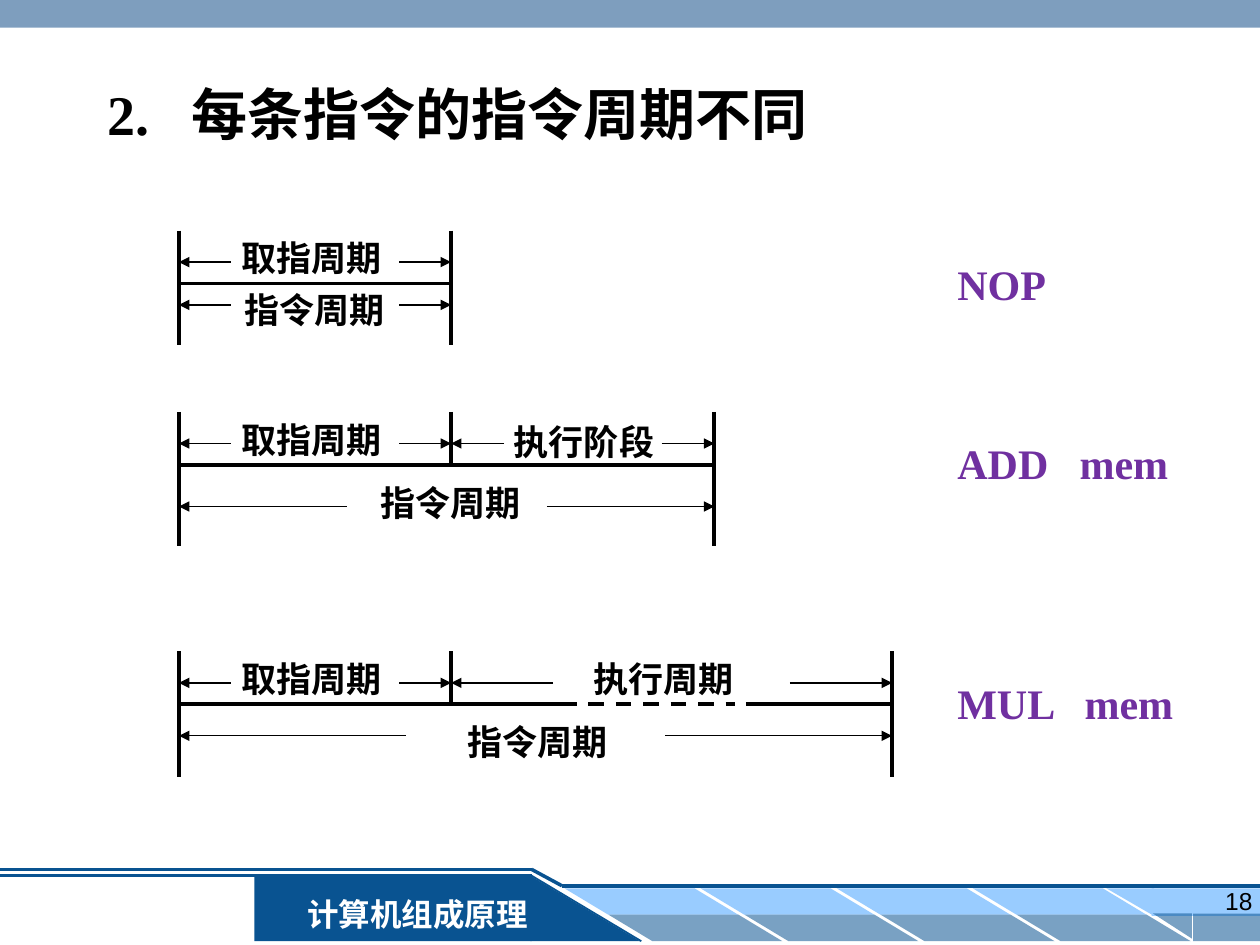
"""Build a slide comparing the instruction cycles of NOP, ADD and MUL."""
from dataclasses import dataclass

from lxml import etree
from pptx import Presentation
from pptx.dml.color import RGBColor
from pptx.enum.dml import MSO_LINE
from pptx.enum.shapes import MSO_CONNECTOR, MSO_SHAPE
from pptx.enum.text import MSO_ANCHOR, MSO_AUTO_SIZE, PP_ALIGN
from pptx.oxml.ns import qn
from pptx.util import Inches, Pt

RECTANGLE = MSO_SHAPE.RECTANGLE
PARALLELOGRAM = MSO_SHAPE.PARALLELOGRAM
TRIANGLE = MSO_SHAPE.RIGHT_TRIANGLE
STRAIGHT = MSO_CONNECTOR.STRAIGHT
DASH = MSO_LINE.DASH
TOP, MIDDLE = MSO_ANCHOR.TOP, MSO_ANCHOR.MIDDLE
LEFT, CENTER, RIGHT = PP_ALIGN.LEFT, PP_ALIGN.CENTER, PP_ALIGN.RIGHT
NO_AUTOFIT = MSO_AUTO_SIZE.NONE

BLACK, WHITE, PURPLE = "000000", "FFFFFF", "7030A0"
NAVY, SKY, STEEL = "095391", "99CCFF", "336699"
SERIF, SANS = "Times New Roman", "Arial"
START, FETCH_END = 1.42, 3.58


@dataclass(frozen=True)
class Span:
    """A labelled stretch of time with an arrow of length reach at each end."""

    label: str
    start: float
    end: float
    y: float
    reach: float
    label_left: float
    label_top: float


@dataclass(frozen=True)
class Segment:
    """A piece of a time axis."""

    start: float
    end: float
    dashed: bool = False


@dataclass(frozen=True)
class Timeline:
    """The cycle of one instruction with its phases above the axis."""

    words: tuple[str, ...]
    tab: float
    name_top: float
    top: float
    bottom: float
    axis: tuple[Segment, ...]
    phases: tuple[Span, ...]
    cycle: Span


def fetch(top: float) -> Span:
    """Return the fetch phase shared by all instructions."""
    return Span("取指周期", START, FETCH_END, top + 0.25, 0.41, 1.82, top)


TIMELINES = (
    Timeline(("NOP",), 1, 2, 1.83, 2.74, (Segment(START, FETCH_END),), (fetch(1.83),),
             Span("指令周期", START, FETCH_END, 2.42, 0.41, 1.84, 2.24)),
    Timeline(("ADD", "mem"), 0.97, 3.42, 3.27, 4.33, (Segment(START, 5.67),),
             (fetch(3.27), Span("执行阶段", FETCH_END, 5.67, 3.52, 0.42, 3.98, 3.29)),
             Span("指令周期", START, 5.67, 4.02, 1.33, 2.92, 3.77)),
    Timeline(("MUL", "mem"), 1.01, 5.33, 5.17, 6.17,
             (Segment(START, 4.58), Segment(4.67, 5.83, True), Segment(5.92, 7.08)),
             (fetch(5.17), Span("执行周期", FETCH_END, 7.08, 5.42, 0.81, 4.61, 5.17)),
             Span("指令周期", START, 7.08, 5.84, 1.8, 3.61, 5.67)),
)


def paint(color_format, color: str) -> None:
    """Apply a hex colour to a colour format."""
    color_format.rgb = RGBColor.from_string(color)


def draw_line(slide, x1: float, y1: float, x2: float, y2: float, width: float,
              color: str = BLACK, arrow: bool = False, dashed: bool = False) -> None:
    """Draw a straight line, optionally dashed or with an arrowhead at its end."""
    connector = slide.shapes.add_connector(
        STRAIGHT, Inches(x1), Inches(y1), Inches(x2), Inches(y2))
    connector.line.width = Pt(width)
    paint(connector.line.color, color)
    if dashed:
        connector.line.dash_style = DASH
    if arrow:
        etree.SubElement(connector.line._get_or_add_ln(), qn("a:tailEnd"), type="triangle")
    etree.SubElement(connector.element.spPr, qn("a:effectLst"))


def draw_block(slide, kind, left: float, top: float, width: float, height: float,
               color: str, opacity: int = 100, flip: str = "", slant: float = 0):
    """Draw a borderless filled shape and return it."""
    block = slide.shapes.add_shape(
        kind, Inches(left), Inches(top), Inches(width), Inches(height))
    block.shadow.inherit = False
    block.line.fill.background()
    block.fill.solid()
    paint(block.fill.fore_color, color)
    if opacity < 100:
        hue = block.element.spPr.find(f"{qn('a:solidFill')}/{qn('a:srgbClr')}")
        etree.SubElement(hue, qn("a:alpha"), val=str(opacity * 1000))
    for axis in flip:
        block.element.spPr.xfrm.set(f"flip{axis}", "1")
    if slant:
        block.adjustments[0] = slant
    return block


def write(shape, words: tuple[str, ...], size: float, color: str, font: str = SERIF,
          bold: bool = True, align=LEFT, anchor=TOP, wrap: bool = True,
          tab: float = 0) -> None:
    """Write one paragraph, its words set apart by a tab stop."""
    frame = shape.text_frame
    frame.word_wrap = wrap
    frame.auto_size = NO_AUTOFIT
    frame.vertical_anchor = anchor
    paragraph = frame.paragraphs[0]
    if tab:
        stops = etree.SubElement(paragraph._p.get_or_add_pPr(), qn("a:tabLst"))
        etree.SubElement(stops, qn("a:tab"), pos=str(Inches(tab)), algn="l")
    paragraph.alignment = align
    run = paragraph.add_run()
    run.text = "\t".join(words)
    run.font.name, run.font.size, run.font.bold = font, Pt(size), bold
    paint(run.font.color, color)


def add_label(slide, words: tuple[str, ...], left: float, top: float, width: float,
              height: float, size: float, color: str, **style) -> None:
    """Add a text box holding one paragraph."""
    label = slide.shapes.add_textbox(
        Inches(left), Inches(top), Inches(width), Inches(height))
    write(label, words, size, color, **style)


def draw_span(slide, span: Span) -> None:
    """Draw a span's label and its two outward arrows."""
    add_label(slide, (span.label,), span.label_left, span.label_top, 1.31, 0.44, 20,
              BLACK, wrap=False)
    for tip, tail in ((span.start, span.start + span.reach),
                      (span.end, span.end - span.reach)):
        draw_line(slide, tail, span.y, tip, span.y, 0.75, arrow=True)


def draw_timeline(slide, timeline: Timeline) -> None:
    """Draw one instruction's axis, boundaries, spans and name."""
    axis_y = timeline.top + 0.42
    for segment in timeline.axis:
        draw_line(slide, segment.start, axis_y, segment.end, axis_y, 2.25,
                  dashed=segment.dashed)
    for edge in (timeline.cycle.start, timeline.cycle.end):
        draw_line(slide, edge, timeline.top, edge, timeline.bottom, 2.25)
    for phase in timeline.phases[:-1]:
        draw_line(slide, phase.end, timeline.top, phase.end, axis_y, 2.25)
    for span in (*timeline.phases, timeline.cycle):
        draw_span(slide, span)
    add_label(slide, timeline.words, 7.5, timeline.name_top, 2.4, 0.5, 24, PURPLE,
              tab=timeline.tab)


def draw_frame(slide) -> None:
    """Draw the top bar and the footer band with the course name."""
    draw_block(slide, RECTANGLE, 0, 0, 10, 0.22, STEEL, 63)
    draw_block(slide, RECTANGLE, 2.02, 6.95, 2.2, 0.52, NAVY)
    draw_line(slide, 5.09, 7.47, 4.22, 6.95, 1, NAVY)
    draw_line(slide, 0, 6.95, 4.22, 6.95, 1.5, NAVY)
    draw_line(slide, 0, 6.9, 4.22, 6.9, 2, NAVY)
    for index in range(4):
        left = 4.48 + 1.08 * index
        draw_block(slide, PARALLELOGRAM, left, 7.05, 1.38, 0.21, SKY, 100, "H", 1.66)
        draw_block(slide, PARALLELOGRAM, left + 0.35, 7.26, 1.38, 0.21, NAVY, 54, "H", 1.66)
    draw_block(slide, RECTANGLE, 9.14, 7.05, 0.86, 0.22, SKY)
    draw_block(slide, TRIANGLE, 8.78, 7.05, 0.38, 0.22, SKY, 100, "HV")
    draw_block(slide, RECTANGLE, 9.47, 7.25, 0.53, 0.22, NAVY, 54)
    draw_block(slide, TRIANGLE, 9.15, 7.25, 0.31, 0.2, NAVY, 54, "HV")
    draw_line(slide, 4.46, 7.03, 10, 7.03, 2, NAVY)
    course = draw_block(slide, RECTANGLE, 2.29, 7.05, 2.05, 0.4, NAVY)
    write(course, ("计算机组成原理",), 18, WHITE, align=CENTER, anchor=MIDDLE)
    draw_block(slide, TRIANGLE, 4.21, 6.95, 0.87, 0.52, NAVY)
    draw_line(slide, 4.22, 6.9, 4.46, 7.03, 2, NAVY)


def main() -> None:
    """Assemble and save the presentation."""
    deck = Presentation()
    deck.slide_width, deck.slide_height = Inches(10), Inches(7.5)
    slide = deck.slides.add_slide(deck.slide_layouts[5])
    draw_frame(slide)
    add_label(slide, ("18",), 7.71, 6.98, 2.33, 0.52, 14, BLACK, font=SANS, bold=False,
              align=RIGHT)
    title = slide.shapes.title
    title.left, title.top = Inches(0.75), Inches(0.58)
    title.width, title.height = Inches(6.25), Inches(0.64)
    write(title, ("2.", "每条指令的指令周期不同"), 32, BLACK, tab=0.67)
    for timeline in TIMELINES:
        draw_timeline(slide, timeline)
    deck.save("out.pptx")


if __name__ == "__main__":
    main()
